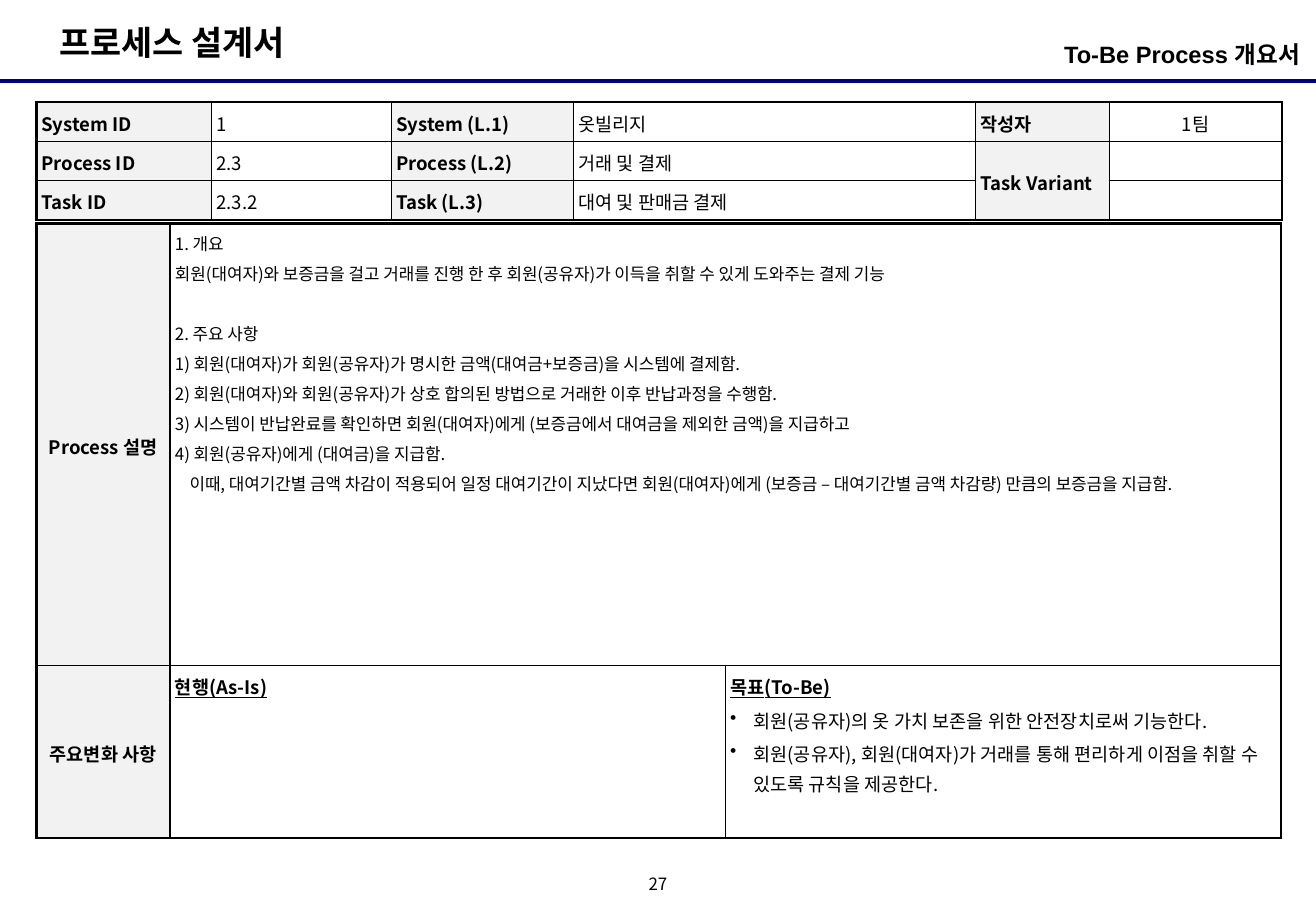
import dataclasses

import lxml.etree
import pptx
import pptx.dml.color
import pptx.enum.shapes
import pptx.enum.text
import pptx.oxml.ns
import pptx.util

Inches = pptx.util.Inches
Pt = pptx.util.Pt
Align = pptx.enum.text.PP_ALIGN
Anchor = pptx.enum.text.MSO_ANCHOR


@dataclasses.dataclass(frozen=True)
class Theme:
    font: str = "Noto Sans CJK KR"
    heading_font: str = "Arial"
    ink: str = "000000"
    rule: str = "000080"
    label_fill: str = "F2F2F2"
    value_fill: str = "FFFFFF"
    title_size: int = 20
    heading_size: int = 14
    table_size: int = 11
    small_size: int = 10
    outer_border: float = 1.5
    inner_border: float = 1


@dataclasses.dataclass(frozen=True)
class Line:
    text: str
    size: float = 11
    bold: bool = False
    underline: bool = False
    align: Align = Align.LEFT
    margin: float = 0
    indent: float = 0
    bullet: str = ""
    gap: float = 0


@dataclasses.dataclass(frozen=True)
class Cell:
    lines: tuple = ()
    label: bool = False
    anchor: Anchor = Anchor.TOP


def color(value):
    return pptx.dml.color.RGBColor.from_string(value)


def add_element(parent, tag, **attributes):
    element = lxml.etree.SubElement(parent, pptx.oxml.ns.qn(tag))
    for name, value in attributes.items():
        element.set(name, str(value))
    return element


class SlideBuilder:
    def __init__(self, slide, theme):
        self.slide = slide
        self.theme = theme

    def style_run(self, run, size, bold=False, underline=False, font=None):
        run.font.size = Pt(size)
        run.font.bold = bold
        run.font.underline = underline
        run.font.name = font or self.theme.font
        run.font.color.rgb = color(self.theme.ink)
        add_element(run.font._element, "a:ea", typeface=self.theme.font)

    def text(self, shape, box, text, size, align, anchor, margins,
             bold=False, wrap=False, font=None, line_spacing=1.0):
        shape.left, shape.top, shape.width, shape.height = map(Inches, box)
        frame = shape.text_frame
        frame.text = text
        frame.word_wrap = wrap
        frame.auto_size = pptx.enum.text.MSO_AUTO_SIZE.NONE
        frame.vertical_anchor = anchor
        frame.margin_left = frame.margin_right = Inches(margins[0])
        frame.margin_top = frame.margin_bottom = Inches(margins[1])
        paragraph = frame.paragraphs[0]
        properties = paragraph._p.get_or_add_pPr()
        properties.set("marL", "0")
        properties.set("indent", "0")
        add_element(properties, "a:buNone")
        paragraph.alignment = align
        paragraph.space_before = Pt(0)
        paragraph.line_spacing = line_spacing
        self.style_run(paragraph.runs[0], size, bold, font=font)

    def title(self, box, text):
        self.text(self.slide.shapes.title, box, text, self.theme.title_size,
                  Align.LEFT, Anchor.TOP, (0.1, 0.05), bold=True)

    def heading(self, box, text):
        self.text(self.slide.placeholders[1], box, text, self.theme.heading_size,
                  Align.RIGHT, Anchor.TOP, (0, 0.05), bold=True, wrap=True,
                  font=self.theme.heading_font)

    def page_number(self, box, text):
        shape = self.slide.shapes.add_textbox(*map(Inches, box))
        self.text(shape, box, text, self.theme.small_size,
                  Align.CENTER, Anchor.MIDDLE, (0, 0), line_spacing=0.8)

    def rule(self, left, right, top, width):
        connector = self.slide.shapes.add_connector(
            pptx.enum.shapes.MSO_CONNECTOR.STRAIGHT,
            Inches(left), Inches(top), Inches(right), Inches(top))
        connector.line.color.rgb = color(self.theme.rule)
        connector.line.width = Pt(width)
        add_element(connector._element.spPr, "a:effectLst")

    def paragraph(self, paragraph, line, first):
        properties = paragraph._p.get_or_add_pPr()
        properties.set("marL", str(Inches(line.margin)))
        properties.set("indent", str(Inches(line.indent)))
        if line.bullet:
            add_element(properties, "a:buChar", char=line.bullet)
        paragraph.text = line.text
        paragraph.alignment = line.align
        paragraph.line_spacing = 1.1
        paragraph.space_before = Pt(0 if first else line.size / 10 + line.gap)
        paragraph.space_after = Pt(line.size / 10)
        self.style_run(paragraph.runs[0], line.size, line.bold, line.underline)

    def borders(self, cell, outer_sides):
        properties = cell._tc.get_or_add_tcPr()
        for tag, outer in zip(("a:lnL", "a:lnR", "a:lnT", "a:lnB"), outer_sides):
            width = self.theme.outer_border if outer else self.theme.inner_border
            border = add_element(properties, tag, w=Pt(width))
            add_element(add_element(border, "a:solidFill"), "a:srgbClr", val=self.theme.ink)

    def table(self, left, top, widths, heights, rows, merge):
        row_count, column_count = len(heights), len(widths)
        table = self.slide.shapes.add_table(
            row_count, column_count, Inches(left), Inches(top),
            Inches(sum(widths)), Inches(sum(heights))).table
        table.first_row = table.horz_banding = False
        for column, width in zip(table.columns, widths):
            column.width = Inches(width)
        for row, height in zip(table.rows, heights):
            row.height = Inches(height)
        start, end = merge
        table.cell(*start).merge(table.cell(*end))
        for i, row in enumerate(rows):
            for j, content in enumerate(row):
                cell = table.cell(i, j)
                self.borders(cell, (j == 0, j + cell.span_width == column_count,
                                    i == 0, i + cell.span_height == row_count))
                self.fill_cell(cell, content)

    def fill_cell(self, cell, content):
        cell.margin_left = cell.margin_right = Inches(0.04)
        cell.margin_top = cell.margin_bottom = Inches(0.04)
        cell.vertical_anchor = content.anchor
        cell.fill.solid()
        cell.fill.fore_color.rgb = color(
            self.theme.label_fill if content.label else self.theme.value_fill)
        frame = cell.text_frame
        for index, line in enumerate(content.lines):
            paragraph = frame.add_paragraph() if index else frame.paragraphs[0]
            self.paragraph(paragraph, line, index == 0)
        if not content.lines:
            add_element(frame.paragraphs[0]._p, "a:endParaRPr", sz=self.theme.table_size * 100)


def label(text, anchor=Anchor.TOP, align=Align.LEFT):
    return Cell((Line(text, bold=True, align=align),), True, anchor)


def value(text, anchor=Anchor.TOP, align=Align.LEFT):
    return Cell((Line(text, align=align),), False, anchor)


def side_label(text):
    return label(text, Anchor.MIDDLE, Align.CENTER)


def change_cell(heading, *points):
    bullets = (Line(point, margin=0.19, indent=-0.19, bullet="•") for point in points)
    return Cell((Line(heading, bold=True, underline=True, margin=0.09, indent=-0.09), *bullets))


def step(text, indent=-0.25, gap=0):
    return Line(text, Theme.small_size, margin=0.25, indent=indent, gap=gap)


def main():
    presentation = pptx.Presentation()
    presentation.slide_width, presentation.slide_height = Inches(10.83), Inches(7.5)
    slide = presentation.slides.add_slide(presentation.slide_layouts[1])
    builder = SlideBuilder(slide, Theme())
    builder.rule(0, 10.83, 0.67, 2.25)
    builder.title((0.39, 0.13, 2.26, 0.44), "프로세스 설계서")
    builder.heading((7.39, 0.28, 3.31, 0.39), "To-Be Process 개요서")
    builder.table(0.3, 0.84, (1.44, 1.48, 1.5, 3.31, 1.1, 1.42), (0.31,) * 3, (
        (label("System ID"), value("1"), label("System (L.1)"), value("옷빌리지"),
         label("작성자", Anchor.MIDDLE), value("1팀", Anchor.MIDDLE, Align.CENTER)),
        (label("Process ID"), value("2.3"), label("Process (L.2)"), value("거래 및 결제"),
         label("Task Variant", Anchor.MIDDLE), Cell()),
        (label("Task ID"), value("2.3.2"), label("Task (L.3)"), value("대여 및 판매금 결제"),
         Cell(label=True), Cell()),
    ), ((1, 4), (2, 4)))
    description = Cell((
        step("1. 개요"),
        step("회원(대여자)와 보증금을 걸고 거래를 진행 한 후 회원(공유자)가 이득을 취할 수 있게 도와주는 결제 기능"),
        step("2. 주요 사항", gap=18),
        step("1) 회원(대여자)가 회원(공유자)가 명시한 금액(대여금+보증금)을 시스템에 결제함."),
        step("2) 회원(대여자)와 회원(공유자)가 상호 합의된 방법으로 거래한 이후 반납과정을 수행함."),
        step("3) 시스템이 반납완료를 확인하면 회원(대여자)에게 (보증금에서 대여금을 제외한 금액)을 지급하고"),
        step("4) 회원(공유자)에게 (대여금)을 지급함."),
        step("이때, 대여기간별 금액 차감이 적용되어 일정 대여기간이 지났다면 회원(대여자)에게 "
             "(보증금 – 대여기간별 금액 차감량) 만큼의 보증금을 지급함.", indent=-0.13),
    ))
    builder.table(0.3, 1.84, (1.1, 4.57, 4.57), (3.64, 1.42), (
        (side_label("Process 설명"), description, Cell()),
        (side_label("주요변화 사항"), change_cell("현행(As-Is)"),
         change_cell("목표(To-Be)",
                     "회원(공유자)의 옷 가치 보존을 위한 안전장치로써 기능한다.",
                     "회원(공유자), 회원(대여자)가 거래를 통해 편리하게 이점을 취할 수 있도록 규칙을 제공한다.")),
    ), ((0, 1), (0, 2)))
    builder.page_number((5.25, 7.17, 0.33, 0.25), "27")
    presentation.save("out.pptx")


if __name__ == "__main__":
    main()
